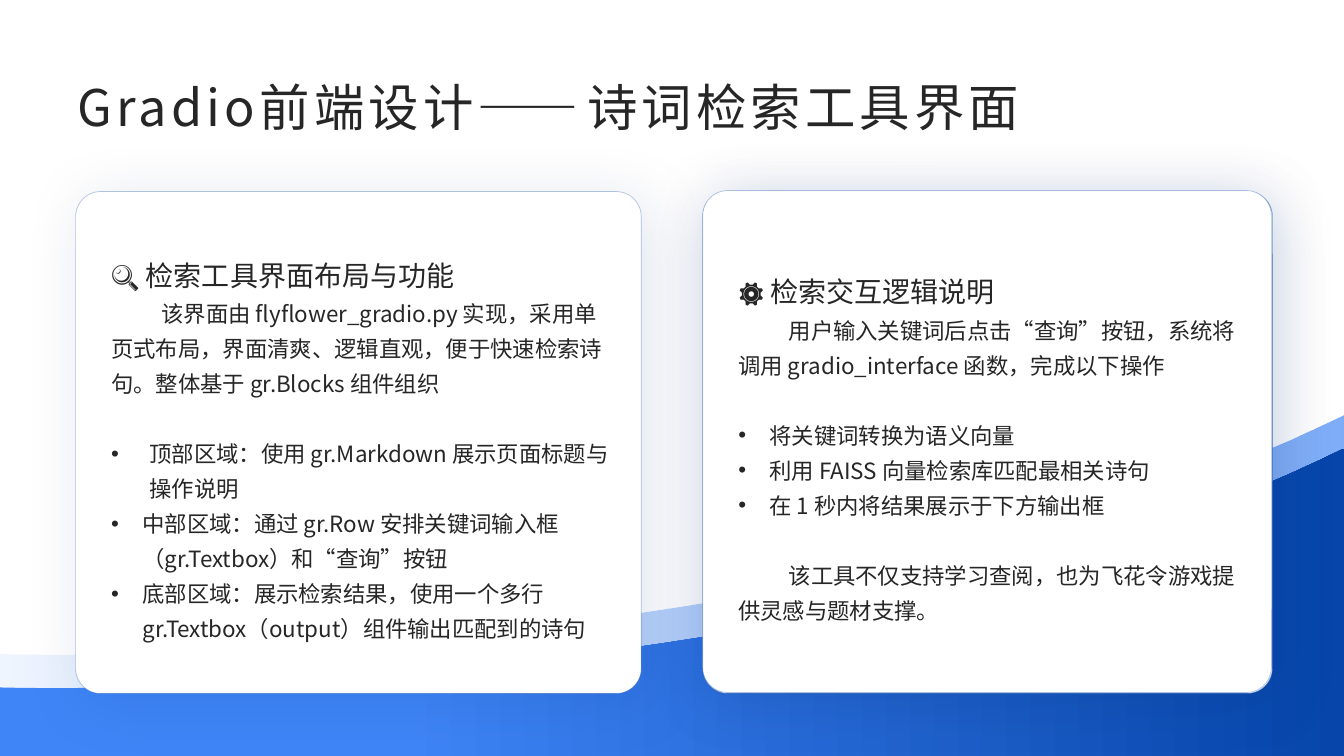
import pptx
import pptx.util
import pptx.dml.color
import pptx.enum.shapes
import pptx.enum.text
import pptx.oxml
import pptx.oxml.ns
from lxml import etree

Inches = pptx.util.Inches
Pt = pptx.util.Pt
FONT = "Noto Sans CJK SC"
COLORS = {"ink": "262626", "card": "FFFFFF", "edge": "0745AA", "shadow": "05347F",
          "wave_light": "5F99F8", "wave_mid": "3F85F7"}

LAYOUT_TEXT = [
    ("head", "🔍 检索工具界面布局与功能"),
    ("body", "该界面由 flyflower_gradio.py 实现，采用单页式布局，界面清爽、逻辑直观，便于快速检索诗句。整体基于 gr.Blocks 组件组织"),
    ("wide bullet", "顶部区域：使用 gr.Markdown 展示页面标题与操作说明"),
    ("bullet", "中部区域：通过 gr.Row 安排关键词输入框（gr.Textbox）和“查询”按钮"),
    ("bullet", "底部区域：展示检索结果，使用一个多行 gr.Textbox（output）组件输出匹配到的诗句"),
]
LOGIC_TEXT = [
    ("head", "⚙ 检索交互逻辑说明"),
    ("body", "用户输入关键词后点击“查询”按钮，系统将调用 gradio_interface 函数，完成以下操作"),
    ("bullet", "将关键词转换为语义向量"),
    ("bullet", "利用 FAISS 向量检索库匹配最相关诗句"),
    ("bullet", "在 1 秒内将结果展示于下方输出框"),
    ("body", "该工具不仅支持学习查阅，也为飞花令游戏提供灵感与题材支撑。"),
]
HANGING = {"bullet": 0.31, "wide bullet": 0.38}


def rgb(name):
    return pptx.dml.color.RGBColor.from_string(COLORS[name])


def add_child(parent, tag, **attributes):
    child = etree.SubElement(parent, pptx.oxml.ns.qn(tag))
    for key, value in attributes.items():
        child.set(key, str(value))
    return child


def add_color(parent, name, opacity):
    color = add_child(parent, "a:srgbClr", val=COLORS[name])
    if opacity < 100:
        add_child(color, "a:alpha", val=opacity * 1000)


def write_text(para, text, size=16, spacing=0, line=None, before=0):
    if line:
        para.line_spacing = Pt(line)
    para.space_before = Pt(before)
    para.alignment = pptx.enum.text.PP_ALIGN.LEFT
    span = para.add_run()
    span.text = text
    span.font.size = Pt(size)
    span.font.name = FONT
    span.font.color.rgb = rgb("ink")
    properties = span.font._element
    add_child(properties, "a:ea", typeface=FONT)
    if spacing:
        properties.set("spc", str(spacing * 100))


def set_frame(shape, left, right):
    frame = shape.text_frame
    frame.word_wrap = True
    frame.vertical_anchor = pptx.enum.text.MSO_ANCHOR.MIDDLE
    frame.margin_left, frame.margin_right = Inches(left), Inches(right)
    frame.margin_top = frame.margin_bottom = Inches(0.05)
    return frame


def add_title(page, left, top, width, height, text):
    box = page.shapes.add_textbox(Inches(left), Inches(top), Inches(width), Inches(height))
    write_text(set_frame(box, 0.1, 0.1).paragraphs[0], text, size=36, spacing=3)


def add_wave(page, top, width, height, stops):
    knots = [(width, 0), (8.01, 2.62), (0, 2.37), (0, 2.37)]
    steps = 60
    points = []
    for step in range(steps + 1):
        t = step / steps
        weights = [(1 - t) ** 3, 3 * t * (1 - t) ** 2, 3 * t * t * (1 - t), t ** 3]
        x, y = (sum(w * knot[axis] for w, knot in zip(weights, knots)) for axis in (0, 1))
        points.append((Inches(x), Inches(top + y)))
    points += [(0, Inches(top + height)), (Inches(width), Inches(top + height))]
    builder = page.shapes.build_freeform(*points[0])
    builder.add_line_segments(points[1:], close=True)
    wave = builder.convert_to_shape()
    wave.shadow.inherit = False
    wave.line.fill.background()
    wave.fill.gradient()
    wave.fill.gradient_angle = 0
    stop_list = wave._element.spPr.find(".//" + pptx.oxml.ns.qn("a:gsLst"))
    for stop in list(stop_list):
        stop_list.remove(stop)
    for position, name, opacity in stops:
        add_color(add_child(stop_list, "a:gs", pos=position * 1000), name, opacity)


def add_card(page, left, top, width, height, lines=(), edge_opacity=30, distance=9, angle=45):
    card = page.shapes.add_shape(pptx.enum.shapes.MSO_SHAPE.ROUNDED_RECTANGLE,
                                 Inches(left), Inches(top), Inches(width), Inches(height))
    card.adjustments[0] = 0.05
    card.fill.solid()
    card.fill.fore_color.rgb = rgb("card")
    card.line.width = Pt(0.5)
    card.line.color.rgb = rgb("edge")
    edge = card.line._ln.find(".//" + pptx.oxml.ns.qn("a:srgbClr"))
    add_child(edge, "a:alpha", val=edge_opacity * 1000)
    card.shadow.inherit = False
    effects = card._element.spPr.find(pptx.oxml.ns.qn("a:effectLst"))
    shadow = add_child(effects, "a:outerShdw", blurRad=Pt(45), dist=Pt(distance),
                       dir=angle * 60000, algn="ctr", rotWithShape=0)
    add_color(shadow, "shadow", 13)
    frame = set_frame(card, 0.28, 0.2)
    previous = None
    for index, (kind, text) in enumerate(lines):
        para = frame.paragraphs[0] if index == 0 else frame.add_paragraph()
        properties = para._p.get_or_add_pPr()
        if kind in HANGING:
            indent = Inches(HANGING[kind])
            properties.set("marL", str(indent))
            properties.set("indent", str(-indent))
            add_child(properties, "a:buFont", typeface="Arial")
            add_child(properties, "a:buChar", char="•")
        elif kind == "body":
            properties.set("indent", str(Inches(0.5)))
        new_group = previous in ("body", "bullet") and kind != previous and previous != "head"
        write_text(para, text, size=20 if kind == "head" else 16,
                   line=35 if kind == "head" else 25, before=25 if new_group else 0)
        previous = "bullet" if kind in HANGING else kind


def main():
    deck = pptx.Presentation()
    deck.slide_width, deck.slide_height = Inches(13.33), Inches(7.5)
    page = deck.slides.add_slide(deck.slide_layouts[6])
    add_wave(page, 4.11, 13.33, 3.05, [(0, "wave_light", 10), (100, "wave_light", 80)])
    add_wave(page, 4.45, 13.33, 3.05, [(30, "wave_mid", 100), (100, "edge", 100)])
    add_title(page, 0.67, 0.67, 12, 0.77, "Gradio前端设计——诗词检索工具界面")
    add_card(page, 6.97, 1.9, 5.65, 4.98, edge_opacity=50, distance=3, angle=90)
    add_card(page, 0.75, 1.9, 5.61, 4.98, LAYOUT_TEXT)
    add_card(page, 6.97, 1.89, 5.64, 4.98, LOGIC_TEXT)
    deck.save("out.pptx")


if __name__ == "__main__":
    main()
